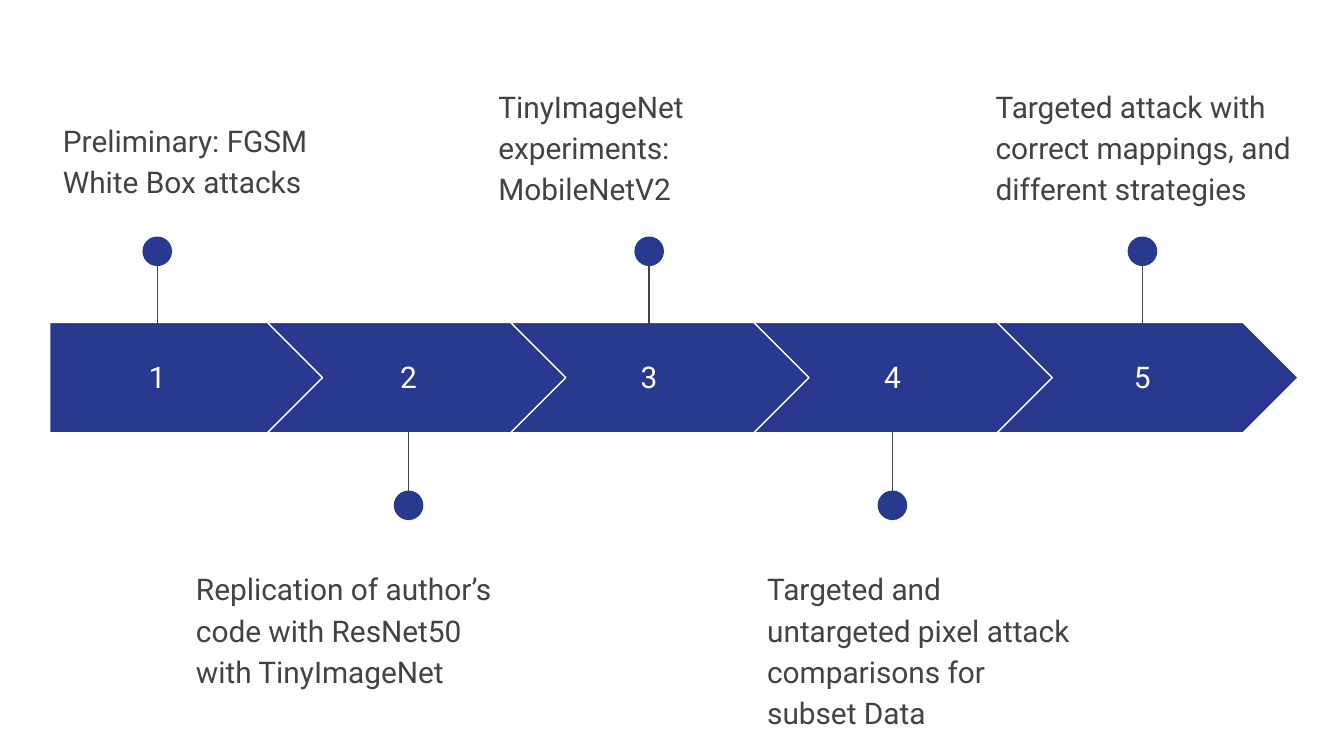
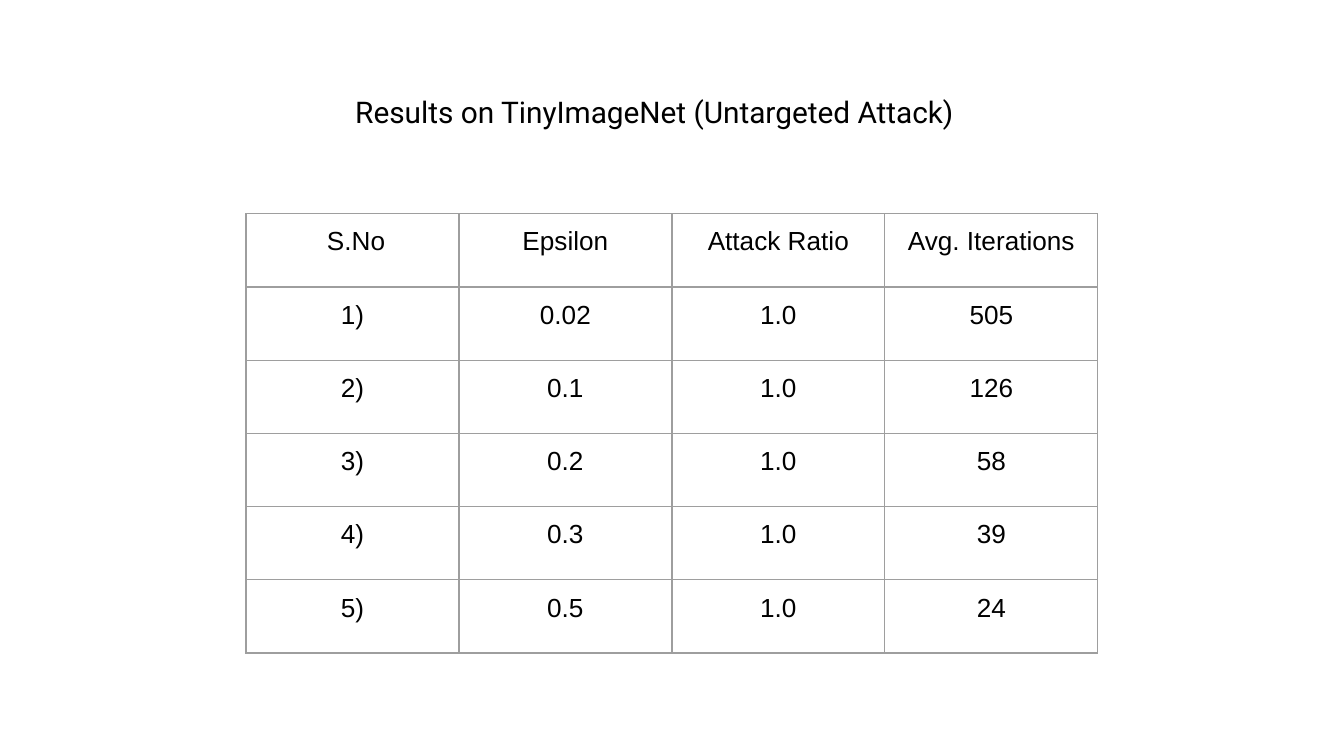
import pptx
import pptx.util
import pptx.dml.color
import pptx.enum.shapes
import pptx.enum.text
import pptx.oxml
import pptx.oxml.ns
import lxml.etree

Inches = pptx.util.Inches
Pt = pptx.util.Pt
Shape = pptx.enum.shapes.MSO_SHAPE
Align = pptx.enum.text.PP_ALIGN
Anchor = pptx.enum.text.MSO_ANCHOR
qn = pptx.oxml.ns.qn

hues = {"blue": "2A3990", "white": "FFFFFF", "gray": "434343", "rule": "9E9E9E", "black": "000000"}


def tint(name):
    return pptx.dml.color.RGBColor.from_string(hues[name])


def write(frame, text, hue, align, size=16, face="Roboto"):
    frame.word_wrap = True
    frame.margin_left = frame.margin_right = Inches(0.1)
    frame.margin_top = frame.margin_bottom = Inches(0.1)
    para = frame.paragraphs[0]
    para.text = text
    para.alignment = align
    para.font.size = Pt(size)
    para.font.name = face
    para.font.color.rgb = tint(hue)
    return para


deck = pptx.Presentation()
deck.slide_width = Inches(10)
deck.slide_height = Inches(10 * 9 / 16)

slide = deck.slides.add_slide(deck.slide_layouts[6])
shapes = slide.shapes
steps = [
    (1.17, 0.37, 0.77, "Preliminary: FGSM White Box attacks"),
    (3.04, 1.36, 4.11, "Replication of author’s code with ResNet50 with TinyImageNet"),
    (4.83, 3.61, 0.52, "TinyImageNet experiments: MobileNetV2"),
    (6.64, 5.61, 4.11, "Targeted and untargeted pixel attack comparisons for subset Data"),
    (8.5, 7.31, 0.52, "Targeted attack with correct mappings, and different strategies"),
]
size = 0.22
for i, (mid, left, top, text) in enumerate(steps):
    if i == 0:
        kind, start, width = Shape.PENTAGON, 0.37, 2.05
    else:
        kind, start, width = Shape.CHEVRON, 0.18 + 1.81 * i, 2.24
    arrow = shapes.add_shape(kind, Inches(start), Inches(2.4), Inches(width), Inches(0.82))
    arrow.shadow.inherit = False
    arrow.fill.solid()
    arrow.fill.fore_color.rgb = tint("blue")
    arrow.line.color.rgb = tint("white")
    arrow.line.width = Pt(0.75)

    box = shapes.add_textbox(Inches(mid - 0.72), Inches(2.55), Inches(1.44), Inches(0.51))
    box.text_frame.vertical_anchor = Anchor.MIDDLE
    write(box.text_frame, str(i + 1), "white", Align.CENTER)

    far, edge, high = (1.8, 2.41, 1.76) if i % 2 == 0 else (3.82, 3.21, 3.65)
    stem = shapes.add_connector(
        pptx.enum.shapes.MSO_CONNECTOR.STRAIGHT, Inches(mid), Inches(far), Inches(mid), Inches(edge))
    stem.line.color.rgb = tint("gray")
    stem.line.width = Pt(0.75)
    lxml.etree.SubElement(stem._element.spPr, qn("a:effectLst"))

    dot = shapes.add_shape(Shape.OVAL, Inches(mid - size / 2), Inches(high), Inches(size), Inches(size))
    dot.shadow.inherit = False
    dot.fill.solid()
    dot.fill.fore_color.rgb = tint("blue")
    dot.line.fill.background()

    note = shapes.add_textbox(Inches(left), Inches(top), Inches(2.45), Inches(0.99))
    para = write(note.text_frame, text, "gray", Align.LEFT)
    para.line_spacing = 1.15
    para.space_after = Pt(16)

slide = deck.slides.add_slide(deck.slide_layouts[5])
title = slide.shapes.title
title.left, title.top = Inches(1.98), Inches(0.6)
title.width, title.height = Inches(5.78), Inches(0.47)
title.text_frame.vertical_anchor = Anchor.TOP
title.text_frame.auto_size = pptx.enum.text.MSO_AUTO_SIZE.SHAPE_TO_FIT_TEXT
write(title.text_frame, "Results on TinyImageNet (Untargeted Attack)", "black", Align.CENTER)

rows = [
    (" S.No", "Epsilon", "Attack Ratio", "Avg. Iterations"),
    ("1)", "0.02", "1.0", "505"),
    ("2)", "0.1", "1.0", "126"),
    ("3)", "0.2", "1.0", "58"),
    ("4)", "0.3", "1.0", "39"),
    ("5)", "0.5", "1.0", "24"),
]
table = slide.shapes.add_table(
    len(rows), len(rows[0]), Inches(1.83), Inches(1.59), Inches(6.34), Inches(3.27)).table
table.first_row = False
table.horz_banding = False
for r, row in enumerate(rows):
    for c, text in enumerate(row):
        cell = table.cell(r, c)
        cell.margin_left = cell.margin_right = Inches(0.1)
        cell.margin_top = cell.margin_bottom = Inches(0.1)
        cell.fill.background()
        para = cell.text_frame.paragraphs[0]
        para.text = text
        para.alignment = Align.CENTER
        para.font.size = Pt(14)
        para.font.name = "Arial"
        para.font.color.rgb = tint("black")
        props = cell._tc.get_or_add_tcPr()
        for n, side in enumerate(("lnL", "lnR", "lnT", "lnB")):
            line = lxml.etree.Element(qn("a:" + side), w=str(Pt(0.75)))
            fill = lxml.etree.SubElement(line, qn("a:solidFill"))
            lxml.etree.SubElement(fill, qn("a:srgbClr"), val=hues["rule"])
            props.insert(n, line)

deck.save("out.pptx")
